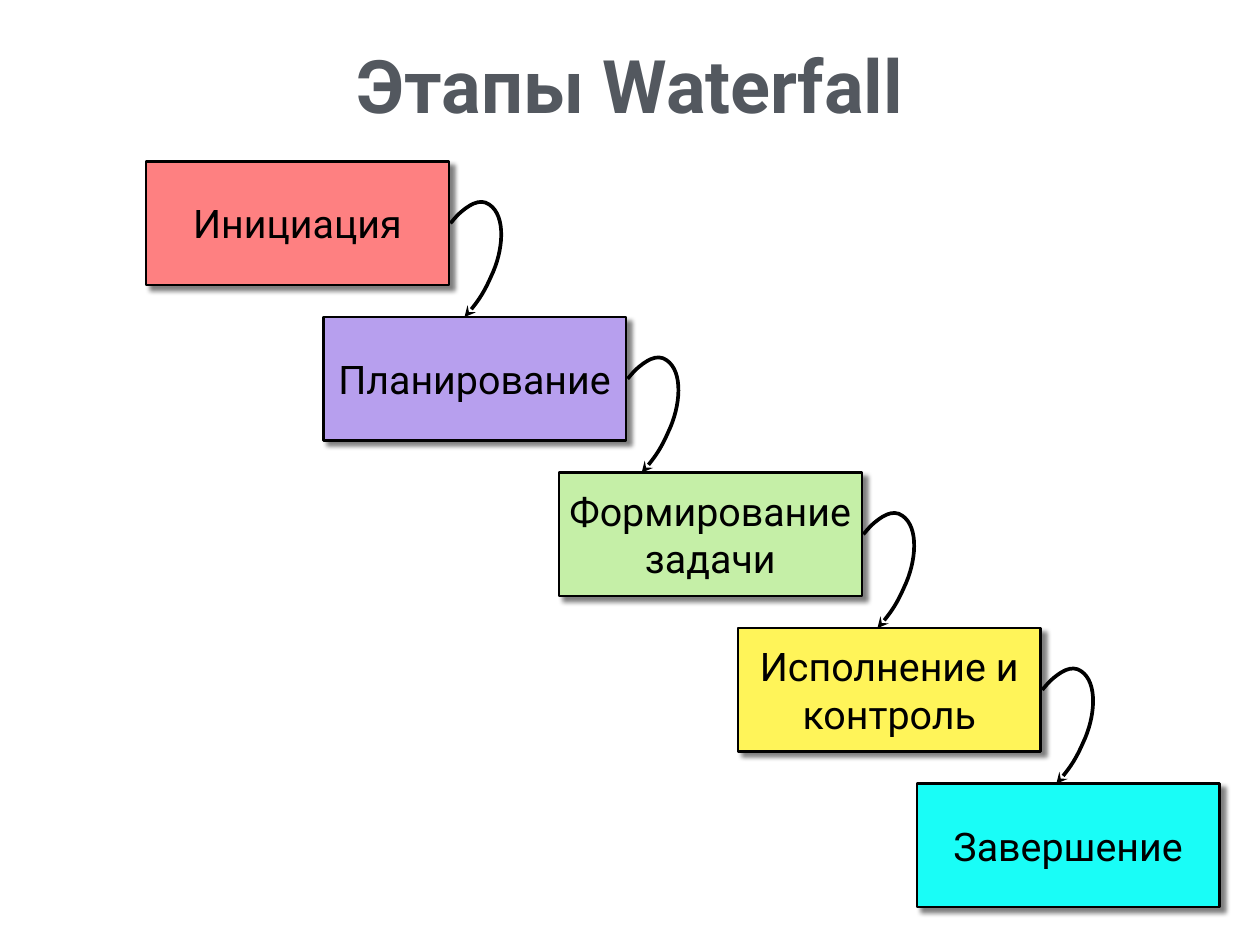
from lxml import etree
from pptx import Presentation
from pptx.dml.color import RGBColor
from pptx.enum.shapes import MSO_SHAPE
from pptx.enum.text import MSO_ANCHOR, MSO_AUTO_SIZE, PP_ALIGN
from pptx.oxml.ns import qn
from pptx.util import Pt

RECTANGLE = MSO_SHAPE.RECTANGLE
MIDDLE = MSO_ANCHOR.MIDDLE
CENTER = PP_ALIGN.CENTER
NO_AUTOFIT = MSO_AUTO_SIZE.NONE

FONT = "Roboto"
INK = "000000"
TITLE_COLOR = "53585F"
INSET = 4.3
STAGE_WIDTH, STAGE_HEIGHT = 246, 100.4
FIRST_TOP, STEP_DOWN = 131.2, 126.4
STAGES = [
    ("Инициация", 118.8, "FE8081"),
    ("Планирование", 262.8, "B79FEE"),
    ("Формирование задачи", 454.4, "C5EFA7"),
    ("Исполнение и контроль", 599.8, "FFF459"),
    ("Завершение", 745.2, "19FDF7"),
]
ARROW_GAP = 1.2
ARROW_RISE = 17.5
ARROW_CORNERS = [(41.8, -ARROW_RISE), (11.5, 76.3)]
ARROW_CURVES = [
    [(3, -3), (4, -5), (6.5, -7.2)],
    [(14.4, -14.4), (23.8, -20.9), (31.7, -15.1)],
    [(45.4, -5.8), (43.2, 22.3), (33.1, 43.2)],
    [(27.4, 56.2), (20.2, 67), (11.5, 76.3)],
]


def color(hex_value):
    return RGBColor.from_string(hex_value)


def set_outline(shape, width):
    shape.line.color.rgb = color(INK)
    shape.line.width = Pt(width)


def write_text(shape, text, size, hex_value, bold=False):
    frame = shape.text_frame
    frame.text = text
    frame.word_wrap = True
    frame.auto_size = NO_AUTOFIT
    frame.vertical_anchor = MIDDLE
    frame.margin_left = frame.margin_right = Pt(INSET)
    frame.margin_top = frame.margin_bottom = Pt(INSET)
    paragraph = frame.paragraphs[0]
    paragraph.alignment = CENTER
    font = paragraph.runs[0].font
    font.name = FONT
    font.size = Pt(size)
    font.bold = bold
    font.color.rgb = color(hex_value)


def add_drop_shadow(shape):
    effects = shape._element.spPr.find(qn("a:effectLst"))
    drop = etree.SubElement(
        effects, qn("a:outerShdw"), blurRad=str(Pt(4)), dist=str(Pt(5)),
        dir="2700000", algn="tl", rotWithShape="0",
    )
    tint = etree.SubElement(drop, qn("a:srgbClr"), val=INK)
    etree.SubElement(tint, qn("a:alpha"), val="50000")


def add_title(slide, left, top, width, height):
    title = slide.shapes.title
    title.left, title.top = Pt(left), Pt(top)
    title.width, title.height = Pt(width), Pt(height)
    write_text(title, "Этапы Waterfall", 60, TITLE_COLOR, bold=True)


def add_stage(slide, left, top, name, fill):
    stage = slide.shapes.add_shape(
        RECTANGLE, Pt(left), Pt(top), Pt(STAGE_WIDTH), Pt(STAGE_HEIGHT)
    )
    stage.fill.solid()
    stage.fill.fore_color.rgb = color(fill)
    set_outline(stage, 2)
    stage.shadow.inherit = False
    add_drop_shadow(stage)
    write_text(stage, name, 32, INK)


def bend_arrow(arrow):
    route = next(arrow._element.iter(qn("a:path")))
    for straight in route.findall(qn("a:lnTo")):
        route.remove(straight)
    for curve in ARROW_CURVES:
        bend = etree.SubElement(route, qn("a:cubicBezTo"))
        for x, y in curve:
            etree.SubElement(
                bend, qn("a:pt"), x=str(Pt(x)), y=str(Pt(y + ARROW_RISE))
            )


def add_arrow(slide, left, top):
    builder = slide.shapes.build_freeform(Pt(left), Pt(top))
    builder.add_line_segments(
        [(Pt(left + x), Pt(top + y)) for x, y in ARROW_CORNERS], close=False
    )
    arrow = builder.convert_to_shape()
    bend_arrow(arrow)
    arrow.fill.background()
    set_outline(arrow, 3)
    arrow.shadow.inherit = False
    outline = arrow._element.spPr.find(qn("a:ln"))
    etree.SubElement(outline, qn("a:round"))
    etree.SubElement(outline, qn("a:tailEnd"), type="stealth")


def add_waterfall(slide, top):
    for index, (name, left, fill) in enumerate(STAGES):
        stage_top = top + index * STEP_DOWN
        add_stage(slide, left, stage_top, name, fill)
        if index < len(STAGES) - 1:
            arrow_left = left + STAGE_WIDTH + ARROW_GAP
            add_arrow(slide, arrow_left, stage_top + STAGE_HEIGHT / 2)


def main():
    presentation = Presentation()
    presentation.slide_width = Pt(1024)
    presentation.slide_height = Pt(768)
    slide = presentation.slides.add_slide(presentation.slide_layouts[5])
    add_title(slide, 75, 17.3, 874, 102.2)
    add_waterfall(slide, FIRST_TOP)
    presentation.save("out.pptx")


if __name__ == "__main__":
    main()
